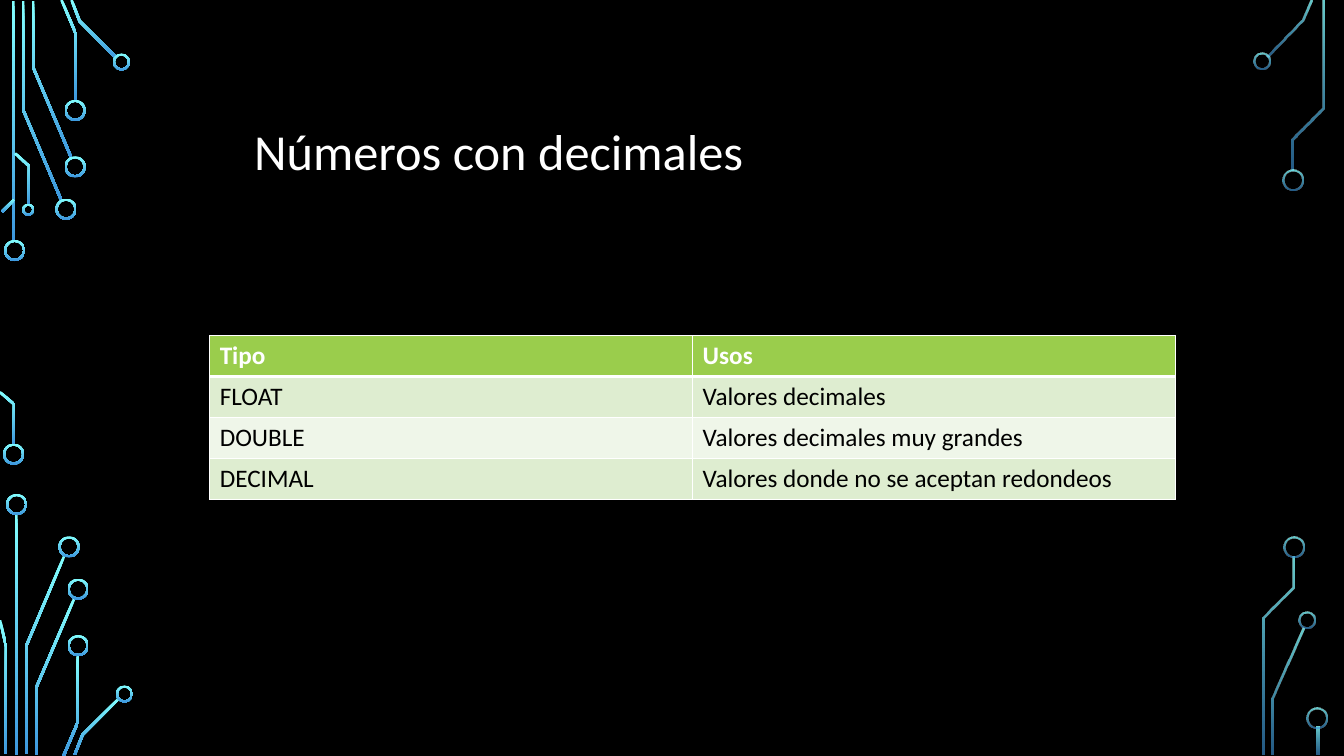
import math
from lxml import etree
from pptx import Presentation
from pptx import util as u
from pptx.dml.color import RGBColor
from pptx.enum import shapes, text
from pptx.oxml import ns


def rgb(value):
    return RGBColor.from_string(value)


def write(frame, words, size=18, color="000000", bold=False, spacing=None):
    frame.text = words
    frame.vertical_anchor = text.MSO_ANCHOR.MIDDLE
    paragraph = frame.paragraphs[0]
    paragraph.alignment = text.PP_ALIGN.LEFT
    paragraph.line_spacing = spacing
    font = paragraph.runs[0].font
    font.name, font.size, font.bold = "Calibri", u.Pt(size), bold
    font.color.rgb = rgb(color)


WIRE = 0.025
RING = 0.02
CIRCUITS = [
    {
        "opacities": (100, 100),
        "bars": [(0.12, 0.01, 2.39), (0.15, 5.1, 2.39)],
        "wires": [
            [(0.61, 1.99), (0.23, 1.09), (0.23, 0.01)],
            [(0.71, 1.57), (0.33, 0.67), (0.33, 0.01)],
            [(0.75, 1), (0.75, 0.33), (0.61, 0)],
            [(1.15, 0.57), (0.79, 0.21), (0.71, 0)],
            [(0.02, 2.1), (0.14, 1.98)],
            [(0.14, 4.41), (0.14, 4.01), (0, 3.89)],
            [(0.29, 2.03), (0.29, 1.65), (0.15, 1.52)],
            [(0.26, 7.48), (0.26, 6.41), (0.64, 5.51)],
            [(0.06, 7.48), (0.06, 6.41), (0, 6.15)],
            [(0.36, 7.49), (0.36, 6.82), (0.74, 5.93)],
            [(0.63, 7.5), (0.77, 7.17), (0.77, 6.5)],
            [(0.74, 7.49), (0.82, 7.29), (1.18, 6.93)],
        ],
        "rings": [
            (0.04, 2.38, 0.21), (0.03, 4.4, 0.21), (0.55, 1.97, 0.21),
            (0.64, 1.55, 0.21), (0.64, 0.99, 0.21), (1.12, 0.53, 0.17),
            (0.22, 2.02, 0.12), (0.06, 4.9, 0.21), (0.58, 5.32, 0.21),
            (0.67, 5.74, 0.21), (0.67, 6.3, 0.21), (1.15, 6.8, 0.17),
        ],
    },
    {
        "opacities": (80, 60),
        "bars": [(13.06, 7.21, 0.28)],
        "wires": [
            [(12.57, 0.56), (12.92, 0.2), (13.01, 0)],
            [(12.82, 1.69), (12.82, 1.38), (13.12, 1.07), (13.12, 0.01)],
            [(12.62, 7.49), (12.62, 6.93), (12.93, 6.23)],
            [(12.53, 7.49), (12.53, 6.13), (12.83, 5.83), (12.83, 5.52)],
        ],
        "rings": [
            (12.43, 0.52, 0.17), (12.72, 1.68, 0.21), (12.88, 6.07, 0.17),
            (12.73, 5.32, 0.21), (12.96, 7.02, 0.21),
        ],
    },
]

presentation = Presentation()
presentation.slide_width = u.Inches(13.33)
presentation.slide_height = u.Inches(7.5)
slide = presentation.slides.add_slide(presentation.slide_layouts[5])
slide.background.fill.solid()
slide.background.fill.fore_color.rgb = rgb("000000")

for circuit in CIRCUITS:
    parts = []
    for left, top, height in circuit["bars"]:
        parts.append(slide.shapes.add_shape(
            shapes.MSO_SHAPE.RECTANGLE, u.Inches(left), u.Inches(top),
            u.Inches(WIRE), u.Inches(height)))
    for wire in circuit["wires"]:
        normals = []
        for (x1, y1), (x2, y2) in zip(wire, wire[1:]):
            length = math.hypot(x2 - x1, y2 - y1)
            normals.append(((y1 - y2) / length, (x2 - x1) / length))
        near, far = [], []
        for (x, y), (ax, ay), (bx, by) in zip(
                wire, normals[:1] + normals, normals + normals[-1:]):
            reach = WIRE / 2 / (1 + ax * bx + ay * by)
            dx, dy = (ax + bx) * reach, (ay + by) * reach
            near.append((u.Inches(x + dx), u.Inches(y + dy)))
            far.append((u.Inches(x - dx), u.Inches(y - dy)))
        outline = near + far[::-1]
        builder = slide.shapes.build_freeform(*outline[0])
        builder.add_line_segments(outline[1:], close=True)
        parts.append(builder.convert_to_shape())
    for left, top, size in circuit["rings"]:
        ring = slide.shapes.add_shape(
            shapes.MSO_SHAPE.DONUT, u.Inches(left), u.Inches(top),
            u.Inches(size), u.Inches(size))
        ring.adjustments[0] = RING / size
        parts.append(ring)

    for shape in parts:
        shape.shadow.inherit = False
        shape.line.fill.background()
        shape.fill.gradient()
        shape.fill.gradient_angle = 270
        for stop, color in zip(shape.fill.gradient_stops, ("82FFFF", "3D97DE")):
            stop.color.rgb = rgb(color)
        for node, opacity in zip(
                shape.element.spPr.iter(ns.qn("a:srgbClr")), circuit["opacities"]):
            if opacity < 100:
                etree.SubElement(node, ns.qn("a:alpha"), val=str(opacity * 1000))

title = slide.shapes.title
title.left, title.top = u.Inches(2.42), u.Inches(0.78)
title.width, title.height = u.Inches(8.91), u.Inches(1.5)
write(title.text_frame, "Números con decimales", size=36, color="FFFFFF", spacing=0.9)
title.text_frame.auto_size = text.MSO_AUTO_SIZE.NONE

ROWS = [
    ("Tipo", "Usos"),
    ("FLOAT", "Valores decimales"),
    ("DOUBLE", "Valores decimales muy grandes"),
    ("DECIMAL", "Valores donde no se aceptan redondeos"),
]
table = slide.shapes.add_table(
    len(ROWS), 2, u.Inches(2.08), u.Inches(3.33), u.Inches(9.58), u.Inches(1.62)).table
for row_index, row in enumerate(ROWS):
    header = row_index == 0
    for column_index, words in enumerate(row):
        cell = table.cell(row_index, column_index)
        write(cell.text_frame, words, color="FFFFFF" if header else "000000", bold=header)
        cell.vertical_anchor = text.MSO_ANCHOR.TOP
        properties = cell._tc.get_or_add_tcPr()
        for side in ("lnL", "lnR", "lnT", "lnB"):
            thick = (row_index, side) in ((0, "lnB"), (1, "lnT"))
            border = etree.SubElement(
                properties, ns.qn("a:" + side), w=str(u.Pt(3 if thick else 1)))
            fill = etree.SubElement(border, ns.qn("a:solidFill"))
            etree.SubElement(fill, ns.qn("a:srgbClr"), val="FFFFFF")
        cell.fill.solid()
        cell.fill.fore_color.rgb = rgb(
            "9ACD4C" if header else ("EFF6E9", "DEEDD0")[row_index % 2])

presentation.save("out.pptx")
